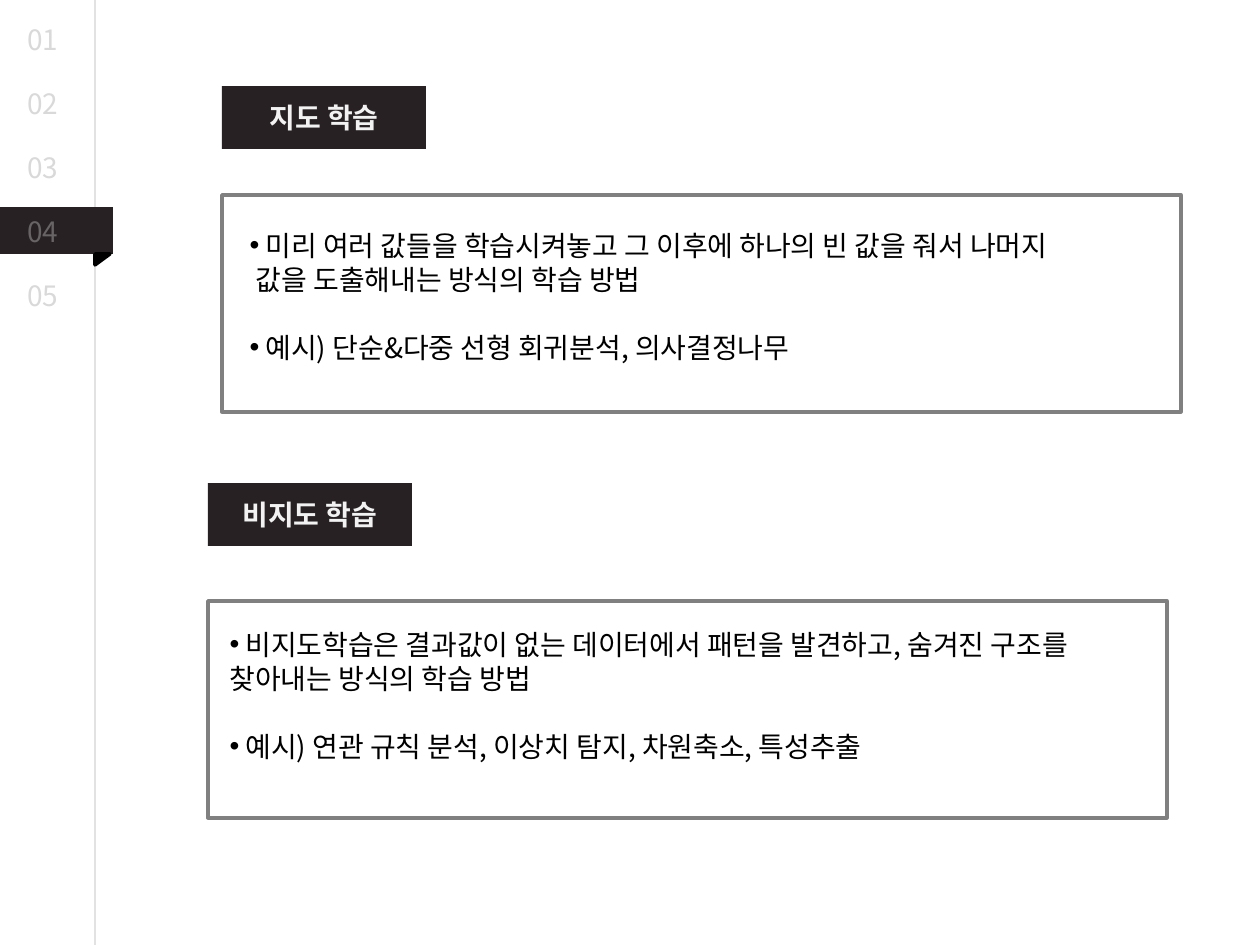
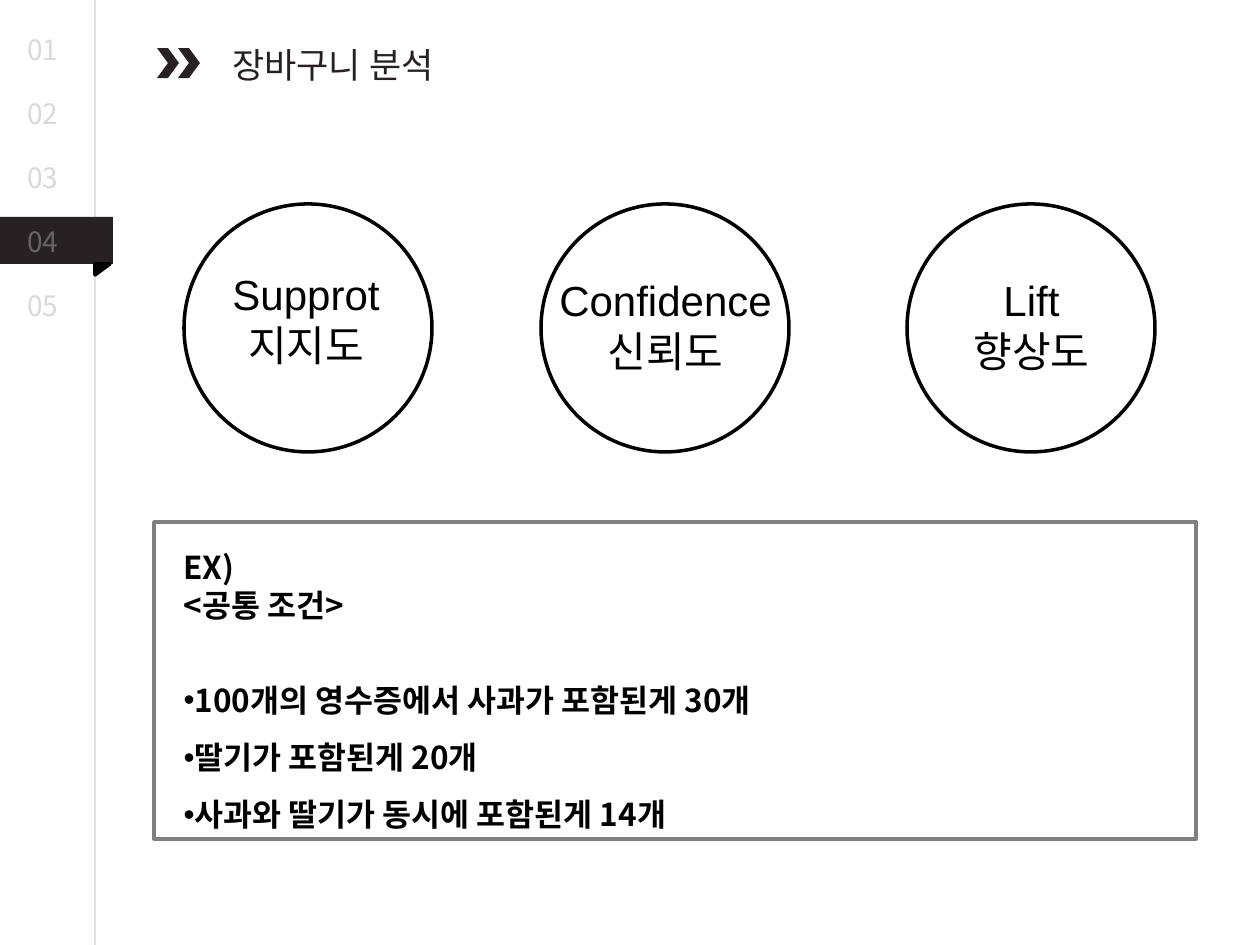
"""Build two slides on machine learning types and basket analysis."""
from dataclasses import dataclass

from lxml import etree
from pptx import Presentation
from pptx.dml.color import RGBColor
from pptx.enum.shapes import MSO_CONNECTOR, MSO_SHAPE
from pptx.enum.text import MSO_ANCHOR, MSO_AUTO_SIZE, PP_ALIGN
from pptx.oxml.ns import qn
from pptx.util import Pt

RECT, OVAL = MSO_SHAPE.RECTANGLE, MSO_SHAPE.OVAL
CHEVRON, TRIANGLE = MSO_SHAPE.CHEVRON, MSO_SHAPE.RIGHT_TRIANGLE
STRAIGHT = MSO_CONNECTOR.STRAIGHT
LEFT, CENTER = PP_ALIGN.LEFT, PP_ALIGN.CENTER
TOP, MIDDLE = MSO_ANCHOR.TOP, MSO_ANCHOR.MIDDLE
FIXED = MSO_AUTO_SIZE.NONE
COMPARISON, TITLE_AND_CONTENT = 4, 1
EMU_PER_PX = 914400 / 126


@dataclass(frozen=True)
class Theme:
    ink: RGBColor = RGBColor.from_string("272123")
    black: RGBColor = RGBColor.from_string("000000")
    white: RGBColor = RGBColor.from_string("FFFFFF")
    heading: RGBColor = RGBColor.from_string("F2F2F2")
    frame: RGBColor = RGBColor.from_string("808080")
    rail: RGBColor = RGBColor.from_string("A6A6A6")
    muted: RGBColor = RGBColor.from_string("D9D9D9")
    korean: str = "Noto Sans CJK KR"
    latin: str = "Arial"
    text: int = 16
    example: int = 18
    title: int = 20
    measure: int = 24
    leading: float = 1.21
    outline: int = 2


THEME = Theme()


def px(*lengths):
    return [round(length * EMU_PER_PX) for length in lengths]


def write(holder, place, lines, size, color, align=LEFT, anchor=TOP, bold=False, face=THEME.korean):
    holder.left, holder.top, holder.width, holder.height = px(*place)
    frame = holder.text_frame
    frame.word_wrap, frame.auto_size, frame.vertical_anchor = True, FIXED, anchor
    for index, (words, bullet, gap, spacing) in enumerate(lines):
        paragraph = frame.add_paragraph() if index else frame.paragraphs[0]
        paragraph.text, paragraph.alignment = words, align
        paragraph.line_spacing = Pt(size * THEME.leading * spacing)
        paragraph.space_before = Pt(size * THEME.leading * gap)
        properties = paragraph._p.get_or_add_pPr()
        properties.set("marL", "0")
        properties.set("indent", "0")
        if bullet:
            etree.SubElement(properties, qn("a:buChar"), char="•")
        else:
            etree.SubElement(properties, qn("a:buNone"))
        font = paragraph.font
        font.size, font.bold, font.name = Pt(size), bold, face
        font.color.rgb = color
        etree.SubElement(font._element, qn("a:ea"), typeface=THEME.korean)


deck = Presentation()
deck.slide_width, deck.slide_height = px(1260, 945)
learning = deck.slides.add_slide(deck.slide_layouts[COMPARISON])
basket = deck.slides.add_slide(deck.slide_layouts[TITLE_AND_CONTENT])

unused_title = learning.shapes.title._element
unused_title.getparent().remove(unused_title)

learning_types = [
    ("지도 학습", (222, 86, 204, 63), (237, 222, 932, 164), [
        (" 미리 여러 값들을 학습시켜놓고 그 이후에 하나의 빈 값을 줘서 나머지", True, 0, 1),
        (" 값을 도출해내는 방식의 학습 방법", False, 0, 1),
        (" 예시) 단순&다중 선형 회귀분석, 의사결정나무", True, 1, 1),
    ]),
    ("비지도 학습", (208, 483, 204, 63), (217, 621, 932, 164), [
        (" 비지도학습은 결과값이 없는 데이터에서 패턴을 발견하고, "
         "숨겨진 구조를 찾아내는 방식의 학습 방법", True, 0, 1),
        (" 예시) 연관 규칙 분석, 이상치 탐지, 차원축소, 특성추출", True, 1, 1),
    ]),
]
for index, (heading, heading_place, list_place, points) in enumerate(learning_types):
    label = learning.placeholders[2 * index + 1]
    label.fill.solid()
    label.fill.fore_color.rgb = THEME.ink
    write(label, heading_place, [(heading, False, 0, 1)], THEME.text, THEME.heading,
          CENTER, MIDDLE, bold=True)
    write(learning.placeholders[2 * index + 2], list_place, points, THEME.text, THEME.black)

write(basket.shapes.title, (185, 37, 296, 55), [("장바구니 분석", False, 0, 1)],
      THEME.title, THEME.ink, CENTER, MIDDLE)
conditions = [
    ("EX)", False, 0, 1),
    ("<공통 조건>", False, 0, 1),
    ("100개의 영수증에서 사과가 포함된게 30개", True, 1, 1.5),
    ("딸기가 포함된게 20개", True, 0, 1.5),
    ("사과와 딸기가 동시에 포함된게 14개", True, 0, 1.5),
]
write(basket.placeholders[1], (171, 541, 945, 300), conditions,
      THEME.example, THEME.black, bold=True)

measures = [
    ("Supprot", "지지도", (190, 262, 232, 115)),
    ("Confidence", "신뢰도", (512, 268, 307, 115)),
    ("Lift", "향상도", (878, 268, 307, 115)),
]
for english, korean, place in measures:
    write(basket.shapes.add_textbox(*px(*place)), place,
          [(english, False, 0, 1), (korean, False, 0, 1)],
          THEME.measure, THEME.black, CENTER, face=THEME.latin)

outlines = [
    (learning, RECT, (222, 195, 959, 217), THEME.frame),
    (learning, RECT, (208, 601, 959, 217), THEME.frame),
    (basket, RECT, (154, 522, 1042, 317), THEME.frame),
] + [(basket, OVAL, (left, 204, 248, 248), THEME.black) for left in (184, 541, 907)]
for slide, kind, place, color in outlines:
    outline = slide.shapes.add_shape(kind, *px(*place))
    outline.shadow.inherit = False
    outline.fill.background()
    outline.line.color.rgb, outline.line.width = color, Pt(THEME.outline)

for left in (178, 157):
    chevron = basket.shapes.add_shape(CHEVRON, *px(left, 48, 22, 30))
    chevron.shadow.inherit = False
    chevron.fill.solid()
    chevron.fill.fore_color.rgb = THEME.ink
    chevron.line.fill.background()

for slide, first in ((learning, 16), (basket, 26)):
    rail = slide.shapes.add_connector(STRAIGHT, *px(95, 0, 95, 945))
    rail.line.color.rgb, rail.line.width = THEME.rail, Pt(0.75)
    shade = rail._element.spPr.find(".//" + qn("a:srgbClr"))
    etree.SubElement(shade, qn("a:alpha"), val="50000")
    etree.SubElement(rail._element.spPr, qn("a:effectLst"))

    tab = slide.shapes.add_shape(RECT, *px(0, first + 191, 113, 47))
    fold = slide.shapes.add_shape(TRIANGLE, *px(97, first + 236, 11, 15))
    fold.rotation = 90
    for part, color in ((tab, THEME.ink), (fold, THEME.black)):
        part.shadow.inherit = False
        part.fill.solid()
        part.fill.fore_color.rgb = color
    tab.line.fill.background()
    fold.line.color.rgb, fold.line.width = THEME.black, Pt(THEME.outline)

    for chapter in range(1, 6):
        place = (15, first + 64 * (chapter - 1), 62, 47)
        number = slide.shapes.add_textbox(*px(*place))
        current = chapter == 4
        write(number, place, [(f"{chapter:02}", False, 0, 1)], THEME.text,
              THEME.white if current else THEME.muted, anchor=MIDDLE)
        if current:
            tint = number._element.find(".//" + qn("a:srgbClr"))
            etree.SubElement(tint, qn("a:alpha"), val="30000")

deck.save("out.pptx")
